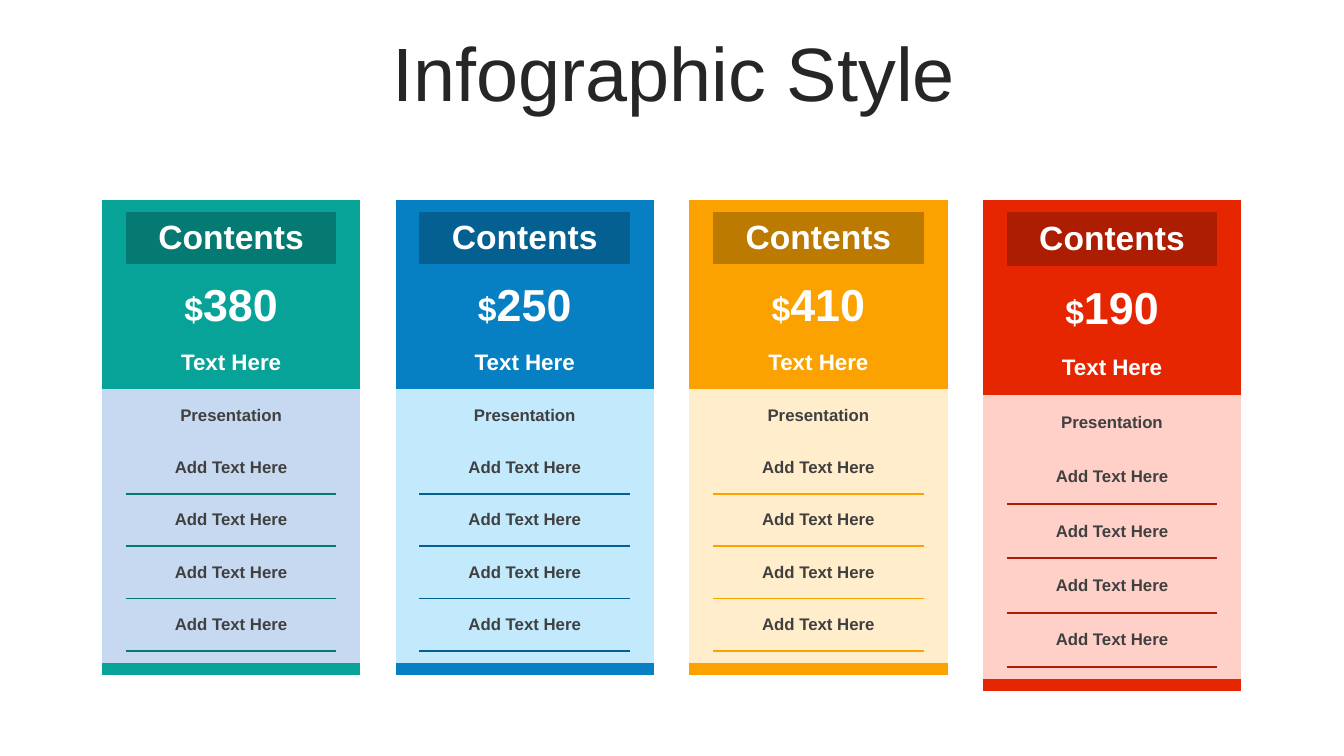
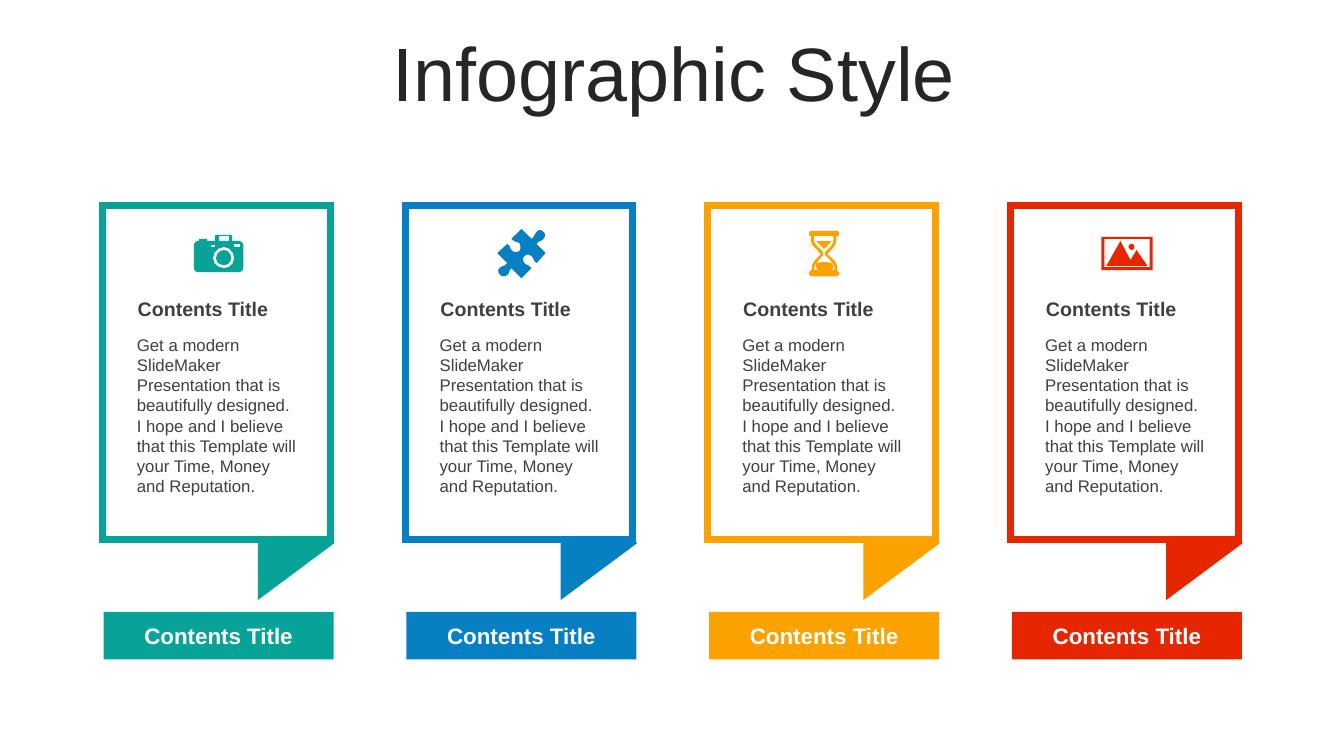
from lxml.etree import SubElement
from pptx import Presentation
from pptx.dml.color import RGBColor
from pptx.enum.shapes import MSO_SHAPE
from pptx.enum.text import MSO_ANCHOR, MSO_AUTO_SIZE, PP_ALIGN
from pptx.oxml import parse_xml
from pptx.oxml.ns import nsdecls, qn
from pptx.util import Cm, Pt

FONT = "Arial"
COLORS = {"white": "FFFFFF", "title": "262626", "text": "404040"}
THEMES = [
    {"main": "07A398", "dark": "057A72", "pale": "C6D9F1", "rule": "057A72"},
    {"main": "0680C3", "dark": "056092", "pale": "C3E9FD", "rule": "056092"},
    {"main": "FBA200", "dark": "BC7A00", "pale": "FFEDCB", "rule": "FBA200"},
    {"main": "E62601", "dark": "AC1D01", "pale": "FFD0C7", "rule": "AC1D01"},
]
PRICES = ["380", "250", "410", "190"]
ROW_HEIGHTS = [1.32, 1.32, 1.32, 1.37]
NO_TABLE_STYLE = "{2D5ABB26-0587-4C30-8999-92F81FD0307C}"
BODY = (
    "Get a modern SlideMaker Presentation that is beautifully designed. "
    "I hope and I believe that this Template will your Time, Money and Reputation."
)

CAMERA = [
    "30 15, 34 15 37 19 37 23, 37 27 34 30 30 30, 25 30 22 27 22 23, 22 19 25 15 30 15",
    "30 12, 24 12 19 17 19 23, 19 29 24 33 30 33, 35 33 40 29 40 23, 40 17 35 12 30 12",
    "17 10, 17 12, 21 12, 21 10",
    "40 9, 40 12, 46 12, 46 9",
    "25 1, 25 6, 35 6, 35 1",
    "22 0, 37 0, 38 1, 38 6, 45 6, 47 6 49 8 49 10, 49 33, 49 35 47 37 45 37, "
    "4 37, 2 37 0 35 0 33, 0 10, 0 8 2 6 4 6, 5 6, 5 4, 13 4, 13 6, 21 6, 21 1",
]
PUZZLE = [
    "46 3, 48 4 48 8 46 10, 44 13 41 11 39 15, 48 24, 39 34, 35 32 37 29 34 27, "
    "32 25 29 25 27 27, 25 28 25 32 27 34, 30 37 31 35 34 39, 24 49, 14 39, "
    "11 42 13 43 10 46, 8 48 4 47 3 46, 1 44 0 41 2 39, 5 36 7 38 10 34, 0 24, 10 15, "
    "14 17 12 20 15 22, 18 24 20 23 22 22, 23 20 24 17 22 14, 19 12 18 14 14 10, "
    "24 0, 34 10, 38 7 36 6 39 3, 41 0 44 1 46 3",
]
HOURGLASS = [
    "16 31, 18 31 20 31 23 32, 24 34 24 37 23 39, 8 39, 7 37 7 34 7 32, 11 31 13 31 16 31",
    "7 10, 22 10, 21 12, 15 18, 9 12",
    "5 5, 4 9 5 12 8 15, 14 21, 14 24, 8 31, 6 33 5 36 5 39, 25 39, 26 36 25 33 22 30, "
    "16 24, 16 21, 22 15, 24 12 25 9 24 5",
    "2 0, 28 0, 29 0 30 1 30 3, 30 4 29 5 28 5, 27 5, 28 9 27 13 24 17, 18 23, 24 28, "
    "27 31 29 35 28 40, 29 40 30 41 30 42, 30 43 29 45 28 45, 2 45, 1 45 0 43 0 42, "
    "0 41 1 39 2 39, 3 39, 2 36 3 32 6 29, 12 23, 6 17, 2 14 1 9 2 5, 1 5 0 4 0 3, "
    "0 1 1 0 2 0",
]
LANDSCAPE = [
    "30 7, 32 7 33 8 33 10, 33 11 32 13 30 13, 29 13 27 11 27 10, 27 8 29 7 30 7",
    "19 4, 29 23, 35 13, 46 29, 5 29",
    "3 2, 3 30, 48 30, 48 2",
    "0 0, 51 0, 51 33, 0 33",
]
ICONS = [CAMERA, PUZZLE, HOURGLASS, LANDSCAPE]


def rgb(color):
    """Return the colour object of a hex string."""
    return RGBColor.from_string(color)


def format_paragraph(paragraph, size, color, bold=False, align=PP_ALIGN.CENTER):
    """Set the font and alignment of a paragraph."""
    paragraph.alignment = align
    font = paragraph.font
    font.name, font.size, font.bold = FONT, Pt(size), bold
    font.color.rgb = rgb(color)


def add_titled_slide(presentation, title):
    """Add a title-only slide with the shared title style."""
    slide = presentation.slides.add_slide(presentation.slide_layouts[5])
    shape = slide.shapes.title
    shape.left, shape.top, shape.width, shape.height = Cm(0.9), Cm(0.94), Cm(32.16), Cm(2)
    frame = shape.text_frame
    frame.text = title
    frame.auto_size = MSO_AUTO_SIZE.NONE
    frame.vertical_anchor = MSO_ANCHOR.MIDDLE
    paragraph = frame.paragraphs[0]
    format_paragraph(paragraph, 54, COLORS["title"])
    paragraph.line_spacing = 0.9
    return slide


def add_block(slide, preset, left, top, width, height, fill, line=None):
    """Add a flat preset shape, with a sharp outline when a line colour is given."""
    shape = slide.shapes.add_shape(preset, Cm(left), Cm(top), Cm(width), Cm(height))
    shape.shadow.inherit = False
    shape.fill.solid()
    shape.fill.fore_color.rgb = rgb(fill)
    if line:
        shape.line.color.rgb = rgb(line)
        shape.line.width = Pt(5)
        SubElement(shape.line._get_or_add_ln(), qn("a:miter"), lim="800000")
    else:
        shape.line.fill.background()
    return shape


def add_text(slide, text, left, top, width, height, size, inset, bold=False):
    """Add a wrapped, left-aligned text box."""
    box = slide.shapes.add_textbox(Cm(left), Cm(top), Cm(width), Cm(height))
    frame = box.text_frame
    frame.word_wrap = True
    frame.margin_left = frame.margin_right = Cm(inset)
    frame.text = text
    format_paragraph(frame.paragraphs[0], size, COLORS["text"], bold, PP_ALIGN.LEFT)


def outline_points(outline, parts=3):
    """Turn an outline of points and Bezier curves into polygon points."""
    points = []
    for step in outline.split(","):
        numbers = [10 * int(number) for number in step.split()]
        if len(numbers) == 2:
            points.append(tuple(numbers))
            continue
        curve = [points[-1], *zip(numbers[::2], numbers[1::2])]
        for part in range(1, parts + 1):
            t = part / parts
            weights = ((1 - t) ** 3, 3 * t * (1 - t) ** 2, 3 * t * t * (1 - t), t ** 3)
            points.append(tuple(
                sum(weight * point[axis] for weight, point in zip(weights, curve))
                for axis in (0, 1)
            ))
    return points


def add_icon(slide, outlines, center_x, center_y, color):
    """Draw an icon as one freeform around a centre point."""
    contours = [outline_points(outline) for outline in outlines]
    builder = slide.shapes.build_freeform(*contours[0][0], scale=Cm(0.00254))
    for index, points in enumerate(contours):
        if index:
            builder.move_to(*points[0])
        builder.add_line_segments(points[1:], close=True)
    shape = builder.convert_to_shape()
    shape.left = Cm(center_x) - shape.width // 2
    shape.top = Cm(center_y) - shape.height // 2
    shape.shadow.inherit = False
    shape.fill.solid()
    shape.fill.fore_color.rgb = rgb(color)
    shape.line.fill.background()


def add_bottom_border(cell, color):
    """Draw a rule along the bottom of a table cell."""
    border = parse_xml(
        f'<a:lnB {nsdecls("a")} w="19050"><a:solidFill><a:srgbClr val="{color}"/>'
        "</a:solidFill></a:lnB>"
    )
    cell._tc.get_or_add_tcPr().insert(0, border)


def fill_cell(cell, color):
    """Give a table cell its fill, no margins and a tiny empty line."""
    cell.fill.solid()
    cell.fill.fore_color.rgb = rgb(color)
    cell.margin_left = cell.margin_right = cell.margin_top = cell.margin_bottom = 0
    cell.vertical_anchor = MSO_ANCHOR.MIDDLE
    if not cell.text:
        SubElement(cell.text_frame.paragraphs[0]._p, qn("a:endParaRPr"), sz="100")


def add_price_table(slide, left, top, row_height, price, theme):
    """Add one price column as a table."""
    spacer = 0.3
    white, dark = COLORS["white"], COLORS["text"]
    rows = [
        (spacer, "", 1, white, "main"),
        (row_height, "Contents", 24, white, "main"),
        (spacer, "", 1, white, "main"),
        (row_height * 1.16, "$", 24, white, "main"),
        (row_height, "Text Here", 16, white, "main"),
        (row_height, "Presentation", 12, dark, "pale"),
        *[(row_height, "Add Text Here", 12, dark, "pale")] * 4,
        (spacer, "", 1, dark, "pale"),
        (spacer, "", 1, dark, "main"),
    ]
    widths = [0.6, 5.31, 0.6]
    height = sum(row[0] for row in rows)
    frame = slide.shapes.add_table(
        len(rows), len(widths), Cm(left), Cm(top), Cm(sum(widths)), Cm(height)
    )
    table = frame.table
    table.first_row = table.horz_banding = False
    table._tbl.tblPr.find(qn("a:tableStyleId")).text = NO_TABLE_STYLE
    for column, width in zip(table.columns, widths):
        column.width = Cm(width)
    for index, (height, text, size, color, fill) in enumerate(rows):
        table.rows[index].height = Cm(height)
        middle = table.cell(index, 1)
        if text:
            middle.text = text
            paragraph = middle.text_frame.paragraphs[0]
            format_paragraph(paragraph, size, color, bold=True)
        if text == "$":
            run = paragraph.add_run()
            run.text = price
            run.font.size = Pt(32)
        for cell in table.rows[index].cells:
            fill_cell(cell, theme[fill])
        if text == "Contents":
            middle.fill.fore_color.rgb = rgb(theme["dark"])
        if text == "Add Text Here":
            add_bottom_border(middle, theme["rule"])


def add_card(slide, left, top, icon, color):
    """Add a framed speech card with its icon, texts and label bar."""
    tail = add_block(slide, MSO_SHAPE.ISOSCELES_TRIANGLE,
                     left + 3.45, top + 7.54, 2.87, 1.93, color)
    tail.rotation = 90
    add_block(slide, MSO_SHAPE.RECTANGLE, left, top, 5.74, 8.41, COLORS["white"], color)
    add_icon(slide, icon, left + 2.93, top + 1.21, color)
    add_text(slide, "Contents Title", left + 0.59, top + 2.18, 4.55, 0.86, 14, 0.3, True)
    add_text(slide, BODY, left + 0.62, top + 3.13, 4.55, 4.37, 12, 0.25)
    label = add_block(slide, MSO_SHAPE.RECTANGLE, left + 0.03, top + 10.24, 5.8, 1.2, color)
    label.text_frame.text = "Contents Title"
    label.text_frame.vertical_anchor = MSO_ANCHOR.MIDDLE
    format_paragraph(label.text_frame.paragraphs[0], 16, COLORS["white"], True)


def build_price_slide(presentation):
    """Build the slide with four price tables."""
    slide = add_titled_slide(presentation, "Infographic Style")
    for index, (height, price, theme) in enumerate(zip(ROW_HEIGHTS, PRICES, THEMES)):
        add_price_table(slide, 2.57 + 7.4 * index, 5.03, height, price, theme)


def build_card_slide(presentation):
    """Build the slide with four speech cards."""
    slide = add_titled_slide(presentation, "Infographic Style")
    for index, (icon, theme) in enumerate(zip(ICONS, THEMES)):
        add_card(slide, 2.58 + 7.63 * index, 5.18, icon, theme["main"])


def main():
    """Build and save the presentation."""
    presentation = Presentation()
    presentation.slide_width, presentation.slide_height = Cm(33.87), Cm(19.05)
    build_price_slide(presentation)
    build_card_slide(presentation)
    presentation.save("out.pptx")


if __name__ == "__main__":
    main()
